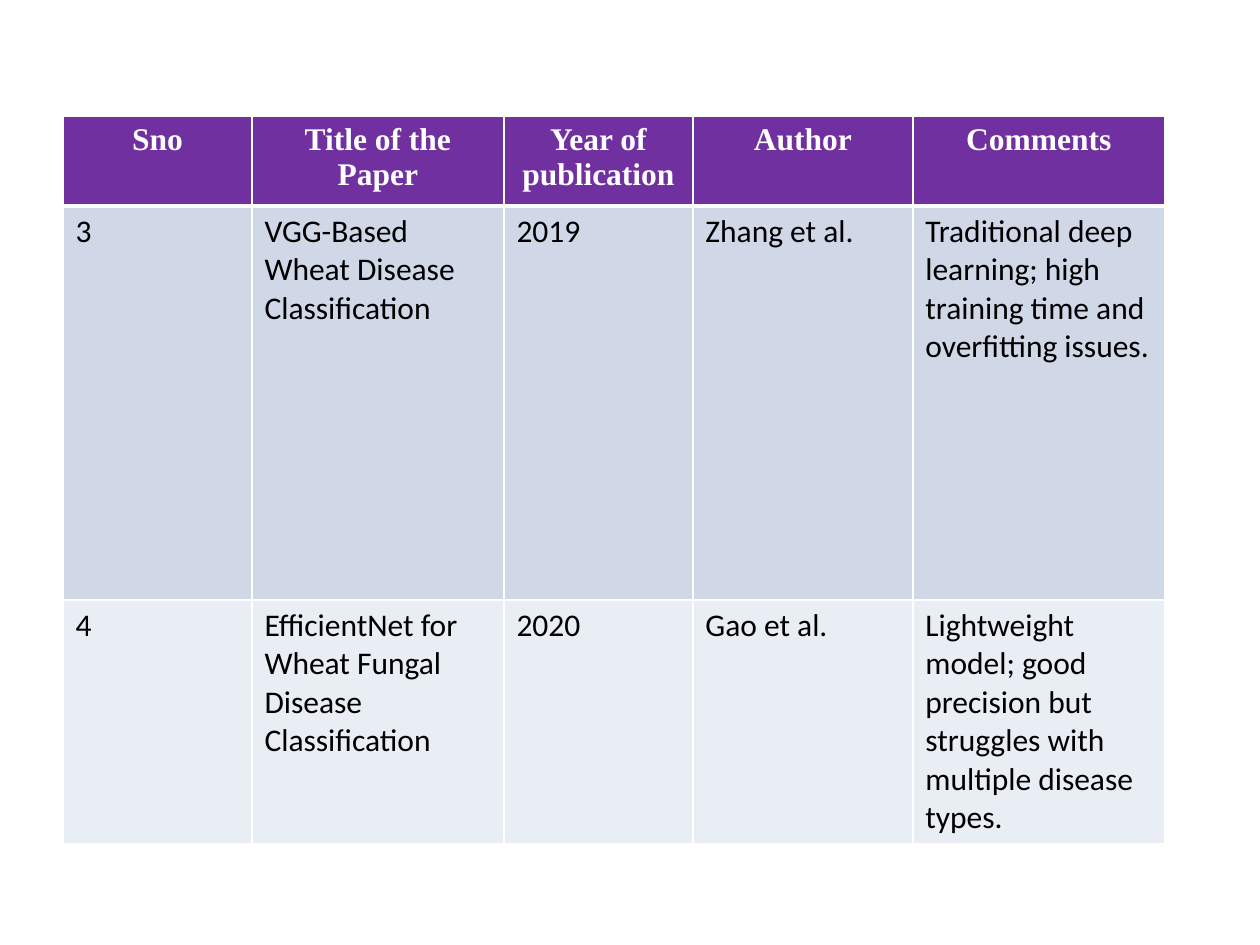
"""Build a literature survey slide with one table of wheat disease papers."""
from lxml.etree import SubElement
from pptx import Presentation
from pptx.dml.color import RGBColor
from pptx.enum.text import PP_ALIGN
from pptx.oxml.ns import qn
from pptx.util import Pt

PX = 914400 // 126
COLORS = {"header": "7030A0", "odd": "D0D8E8", "even": "E9EDF4",
          "white": "FFFFFF", "black": "000000"}
PAPERS = [
    ("Sno", "Title of the Paper", "Year of publication", "Author", "Comments"),
    ("3", "VGG-Based Wheat Disease Classification", "2019", "Zhang et al.",
     "Traditional deep learning; high training time and overfitting issues."),
    ("4", "EfficientNet for Wheat Fungal Disease Classification", "2020", "Gao et al.",
     "Lightweight model; good precision but struggles with multiple disease types."),
]
LEFT, TOP = 63, 116
COLUMN_WIDTHS = [189, 252, 189, 220, 252]
ROW_HEIGHTS = [90, 394, 242]
ROW_FILLS = ["header", "odd", "even"]
HEADER_FORMAT = {"font": "Times New Roman", "color": "white", "bold": True,
                 "align": PP_ALIGN.CENTER}
BODY_FORMAT = {"font": "Calibri", "color": "black", "bold": False,
               "align": PP_ALIGN.LEFT}


def write_text(cell, text, *, font, color, bold, align, size=18):
    paragraph = cell.text_frame.paragraphs[0]
    paragraph.alignment = align
    run = paragraph.add_run()
    run.text = text
    run.font.name = font
    run.font.size = Pt(size)
    run.font.bold = bold
    run.font.color.rgb = RGBColor.from_string(COLORS[color])


def add_borders(cell, **widths):
    properties = cell._tc.get_or_add_tcPr()
    for side, width in widths.items():
        line = SubElement(properties, qn(f"a:ln{side}"), w=str(Pt(width)))
        fill = SubElement(line, qn("a:solidFill"))
        SubElement(fill, qn("a:srgbClr"), val=COLORS["white"])


def add_paper_table(slide):
    frame = slide.shapes.add_table(
        len(PAPERS), len(COLUMN_WIDTHS), LEFT * PX, TOP * PX,
        sum(COLUMN_WIDTHS) * PX, sum(ROW_HEIGHTS) * PX)
    table = frame.table
    for column, width in zip(table.columns, COLUMN_WIDTHS):
        column.width = width * PX
    for index, (row, height) in enumerate(zip(table.rows, ROW_HEIGHTS)):
        row.height = height * PX
        text_format = BODY_FORMAT if index else HEADER_FORMAT
        for cell, text in zip(row.cells, PAPERS[index]):
            add_borders(cell, L=1, R=1, T=3 if index == 1 else 1,
                        B=3 if index == 0 else 1)
            cell.fill.solid()
            cell.fill.fore_color.rgb = RGBColor.from_string(COLORS[ROW_FILLS[index]])
            write_text(cell, text, **text_format)


def main():
    presentation = Presentation()
    presentation.slide_width = 1260 * PX
    presentation.slide_height = 945 * PX
    slide = presentation.slides.add_slide(presentation.slide_layouts[6])
    add_paper_table(slide)
    presentation.save("out.pptx")


if __name__ == "__main__":
    main()
